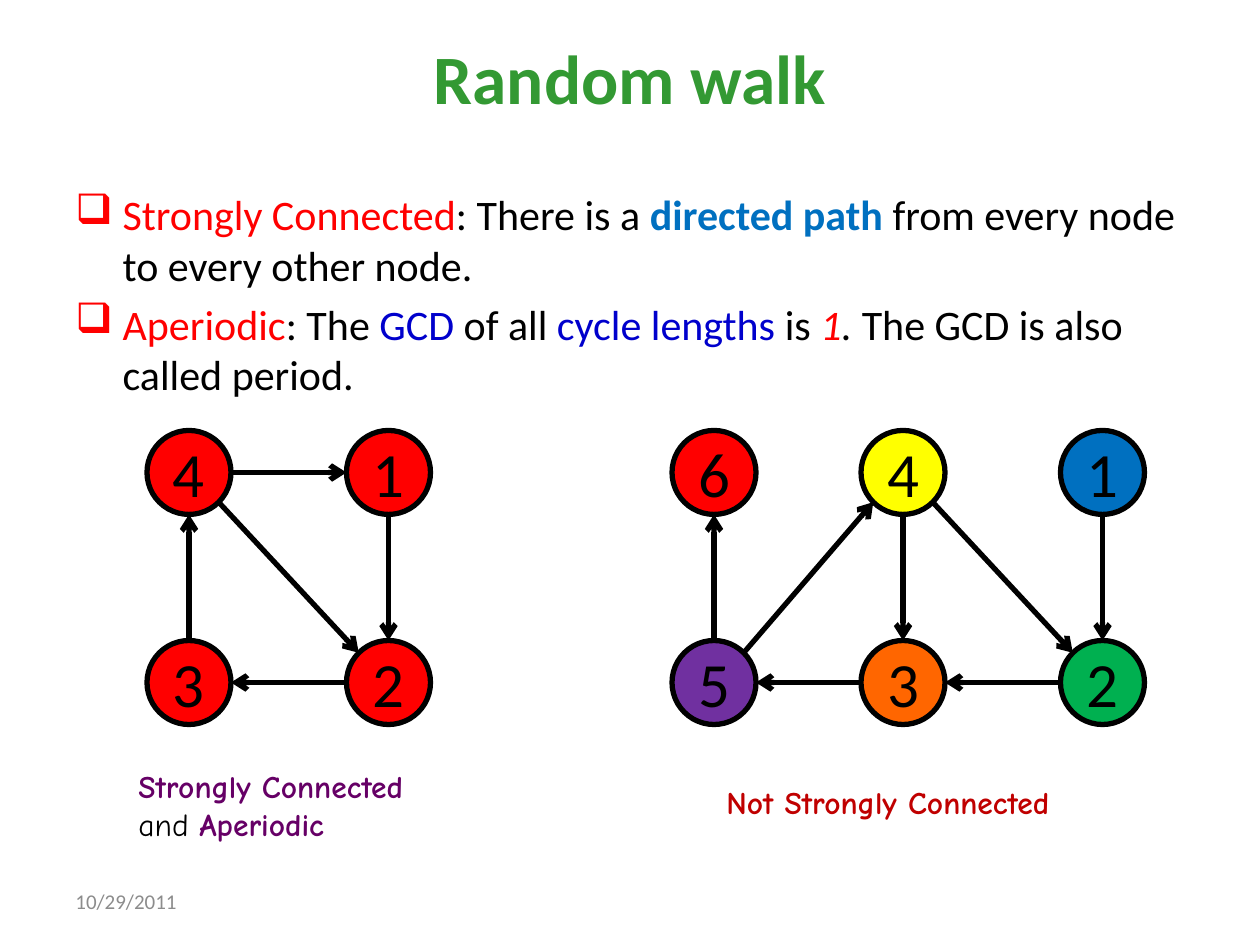
from math import sqrt
from lxml import etree
from pptx import Presentation
from pptx.dml.color import RGBColor
from pptx.enum import shapes, text
from pptx.oxml import ns
from pptx.util import Pt

BLACK = RGBColor(0, 0, 0)
RED = RGBColor(0xFF, 0, 0)
BLUE = RGBColor(0, 0x70, 0xC0)
NAVY = RGBColor(0, 0, 0xCC)
GREEN = RGBColor(0, 0xB0, 0x50)
YELLOW = RGBColor(0xFF, 0xFF, 0)
ORANGE = RGBColor(0xFF, 0x66, 0)
PURPLE = RGBColor(0x70, 0x30, 0xA0)
PLUM = RGBColor(0x66, 0, 0x66)
CRIMSON = RGBColor(0xC0, 0, 0)
TITLE_GREEN = RGBColor(0x33, 0x99, 0x33)
GRAY = RGBColor(0x8C, 0x8C, 0x8C)

TITLE = [("Random walk", TITLE_GREEN, "b")]
DEFINITIONS = [
    [("Strongly Connected", RED, ""), (": There is a ", BLACK, ""),
     ("directed path ", BLUE, "b"),
     ("from every node to every other node.", BLACK, "")],
    [("Aperiodic", RED, ""), (": The ", BLACK, ""), ("GCD", NAVY, ""),
     (" of all ", BLACK, ""), ("cycle lengths ", NAVY, ""), ("is ", BLACK, ""),
     ("1", RED, "i"), (". ", BLACK, "i"),
     ("The GCD is also called period.", BLACK, "")],
]
CAPTIONS = [
    ((72, 435, 198, 51), [("Strongly Connected", PLUM, "b"), None,
                          ("and ", BLACK, ""), ("Aperiodic", PLUM, "b")]),
    ((408, 444, 228, 29), [("Not Strongly Connected", CRIMSON, "b")]),
]
DATE = [("10/29/2011", GRAY, "")]

TOP, BOTTOM = 270, 390
RADIUS = 24
GRAPHS = [
    {"nodes": {"4": (108, TOP, RED), "1": (222, TOP, RED),
               "3": (108, BOTTOM, RED), "2": (222, BOTTOM, RED)},
     "edges": ["41", "12", "42", "23", "34"]},
    {"nodes": {"6": (408, TOP, RED), "4": (516, TOP, YELLOW),
               "1": (630, TOP, BLUE), "5": (408, BOTTOM, PURPLE),
               "3": (516, BOTTOM, ORANGE), "2": (630, BOTTOM, GREEN)},
     "edges": ["12", "42", "23", "43", "35", "56", "54"]},
]


def add_runs(paragraph, runs, size, font="Calibri"):
    for item in runs:
        if item is None:
            paragraph.add_line_break()
            continue
        wording, color, style = item
        run = paragraph.add_run()
        run.text = wording
        run.font.name = font
        run.font.size = Pt(size)
        run.font.color.rgb = color
        run.font.bold = "b" in style
        run.font.italic = "i" in style


def add_text(slide, box, paragraphs, size, font="Calibri"):
    frame = slide.shapes.add_textbox(*map(Pt, box)).text_frame
    frame.word_wrap = True
    for index, runs in enumerate(paragraphs):
        paragraph = frame.add_paragraph() if index else frame.paragraphs[0]
        add_runs(paragraph, runs, size, font)
    return frame


def add_bullet(paragraph):
    paragraph.space_before = Pt(4.8)
    properties = paragraph._p.get_or_add_pPr()
    properties.set("marL", str(Pt(27)))
    properties.set("indent", str(-Pt(27)))
    etree.SubElement(properties, ns.qn("a:buChar")).set("char", "\u2751")


def add_node(slide, label, x, y, color):
    node = slide.shapes.add_shape(
        shapes.MSO_SHAPE.OVAL, Pt(x - RADIUS), Pt(y - RADIUS),
        Pt(2 * RADIUS), Pt(2 * RADIUS))
    node.shadow.inherit = False
    node.fill.solid()
    node.fill.fore_color.rgb = color
    node.line.color.rgb = BLACK
    node.line.width = Pt(3)
    frame = node.text_frame
    frame.margin_left = frame.margin_right = 0
    frame.margin_top = frame.margin_bottom = 0
    frame.word_wrap = False
    frame.vertical_anchor = text.MSO_ANCHOR.MIDDLE
    frame.paragraphs[0].alignment = text.PP_ALIGN.CENTER
    add_runs(frame.paragraphs[0], [(label, BLACK, "")], 36)


def add_edge(slide, start, end):
    x1, y1 = start[:2]
    x2, y2 = end[:2]
    across = (x2 > x1) - (x2 < x1)
    down = (y2 > y1) - (y2 < y1)
    reach = RADIUS * sqrt(0.5) if across and down else RADIUS
    dx, dy = across * reach, down * reach
    edge = slide.shapes.add_connector(
        shapes.MSO_CONNECTOR.STRAIGHT,
        Pt(x1 + dx), Pt(y1 + dy), Pt(x2 - dx), Pt(y2 - dy))
    edge.line.color.rgb = BLACK
    edge.line.width = Pt(3)
    line = edge.line._get_or_add_ln()
    etree.SubElement(line, ns.qn("a:tailEnd")).set("type", "arrow")
    etree.SubElement(edge._element.spPr, ns.qn("a:effectLst"))


presentation = Presentation()
presentation.slide_width, presentation.slide_height = Pt(720), Pt(540)
slide = presentation.slides.add_slide(presentation.slide_layouts[5])

title = slide.shapes.title
title.left, title.top, title.width, title.height = map(Pt, (36, 21.6, 648, 44.6))
title.text_frame.vertical_anchor = text.MSO_ANCHOR.MIDDLE
title.text_frame.paragraphs[0].alignment = text.PP_ALIGN.CENTER
add_runs(title.text_frame.paragraphs[0], TITLE, 39.6)

definitions = add_text(slide, (36, 104.4, 648, 130), DEFINITIONS, 24)
for paragraph in definitions.paragraphs:
    add_bullet(paragraph)

for box, runs in CAPTIONS:
    add_text(slide, box, [runs], 18, "Comic Neue")

for graph in GRAPHS:
    nodes = graph["nodes"]
    for label, (x, y, color) in nodes.items():
        add_node(slide, label, x, y, color)
    for source, target in graph["edges"]:
        add_edge(slide, nodes[source], nodes[target])

date = add_text(slide, (36, 500.5, 168, 28.75), [DATE], 12)
date.vertical_anchor = text.MSO_ANCHOR.MIDDLE

presentation.save("out.pptx")
